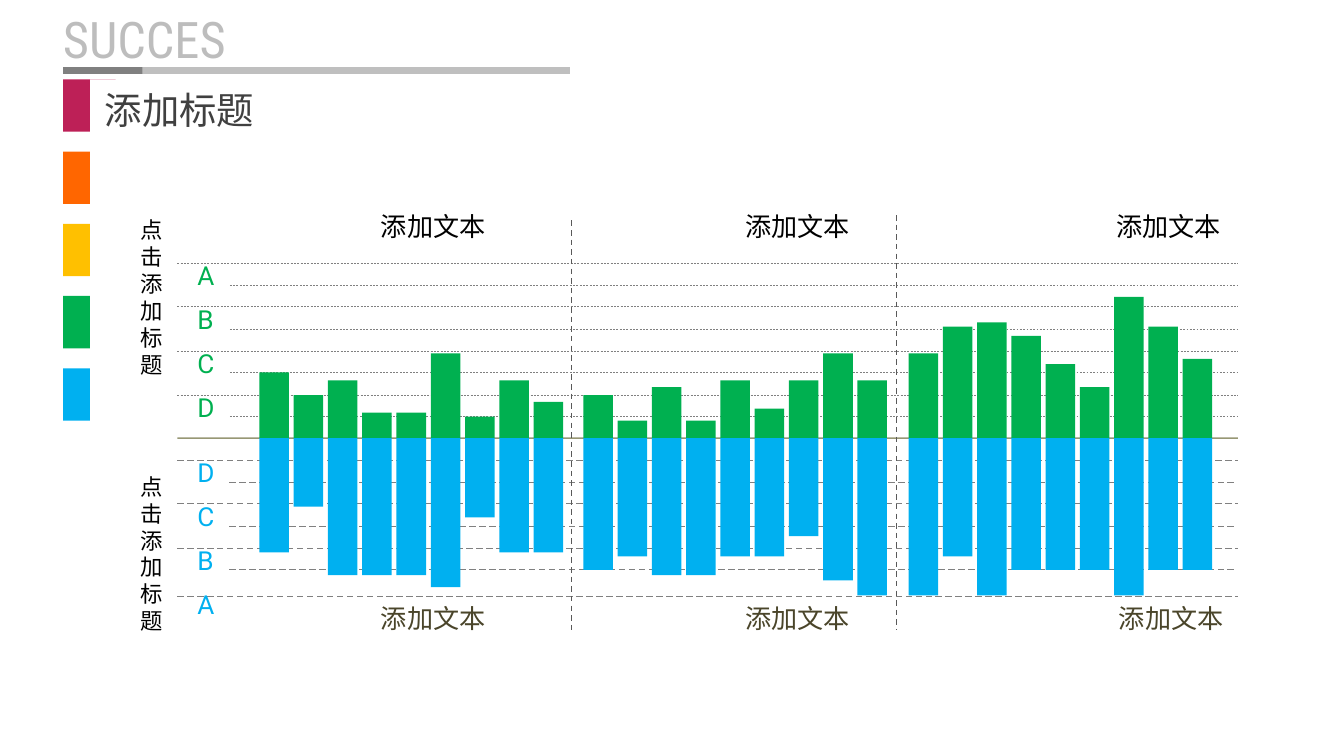
"""Build a slide with mirrored green and blue bars in three sections."""
from lxml.etree import SubElement
from pptx import Presentation
from pptx.dml.color import RGBColor
from pptx.enum.dml import MSO_LINE
from pptx.enum.shapes import MSO_CONNECTOR, MSO_SHAPE
from pptx.enum.text import MSO_ANCHOR, PP_ALIGN
from pptx.oxml.ns import qn
from pptx.util import Inches, Pt

CJK = "Noto Sans CJK SC"
GREEN, BLUE = "00B050", "00B0F0"
BASE = 3.26

deck = Presentation()
deck.slide_width, deck.slide_height = Inches(10), Inches(10 * 9 / 16)
slide = deck.slides.add_slide(deck.slide_layouts[5])
shapes = slide.shapes


def block(x, y, w, h, color):
    rect = shapes.add_shape(MSO_SHAPE.RECTANGLE, Inches(x), Inches(y), Inches(w), Inches(h))
    rect.shadow.inherit = False
    rect.fill.solid()
    rect.fill.fore_color.rgb = RGBColor.from_string(color)
    rect.line.fill.background()


def write(box, place, text, size, font, color, align=PP_ALIGN.LEFT, wrap=True):
    box.left, box.top, box.width, box.height = map(Inches, place)
    frame = box.text_frame
    frame.word_wrap = wrap
    frame.vertical_anchor = MSO_ANCHOR.TOP
    para = frame.paragraphs[0]
    para.alignment = align
    run = para.add_run()
    run.text = text
    run.font.size = Pt(size)
    run.font.name = font
    run.font.color.rgb = RGBColor.from_string(color)
    if font == CJK:
        para.line_spacing = Pt(size * 1.2)
        SubElement(run.font._element, qn("a:ea"), typeface=font)
    return run


block(0.47, 0.5, 1.33, 0.05, "808080")
block(1.06, 0.5, 3.18, 0.05, "BFBFBF")
brand = write(shapes.add_textbox(0, 0, 0, 0), (0.37, 0.01, 1.58, 0.56),
              "SUCCESS", 27, "Roboto Condensed", "000000", wrap=False)
tint = brand.font._element.find(".//" + qn("a:srgbClr"))
SubElement(tint, qn("a:alpha"), val="26000")

for i, color in enumerate(["BD2057", "FF6600", "FFC000", GREEN, BLUE]):
    block(0.47, 0.59 + i * 2.15 / 4, 0.39, 0.39, color)
block(0.67, 0.59, 8.98, 4.69, "FFFFFF")

rules = []
for width, rows in [
    (0.25, [1.96, 2.12, 2.28, 2.45, 2.61, 2.77, 2.94, 3.1]),
    (0, [3.43, 3.59, 3.75, 3.92, 4.08, 4.24, 4.44]),
]:
    for i, y in enumerate(rows):
        rules.append((1.71 if i % 2 else 1.32, y, 9.21, y, "808080", width))
rules.append((1.32, BASE, 9.21, BASE, "666633", 0.75))
rules.append((4.25, 1.64, 4.25, 4.69, "595959", 0.75))
rules.append((6.67, 1.6, 6.67, 4.69, "595959", 0.75))

for x, y, right, low, color, width in rules:
    rule = shapes.add_connector(MSO_CONNECTOR.STRAIGHT, Inches(x), Inches(y), Inches(right), Inches(low))
    rule.line.color.rgb = RGBColor.from_string(color)
    rule._element.spPr.find(qn("a:ln")).set("w", str(Pt(width)))
    if y == BASE:
        tint = rule._element.spPr.find(".//" + qn("a:srgbClr"))
        SubElement(tint, qn("a:alpha"), val="67000")
    else:
        rule.line.dash_style = MSO_LINE.DASH
    SubElement(rule._element.spPr, qn("a:effectLst"))

parts = [
    (1.93, [0.49, 0.32, 0.43, 0.19, 0.19, 0.63, 0.16, 0.43, 0.27],
     [0.85, 0.51, 1.02, 1.02, 1.02, 1.11, 0.59, 0.85, 0.85]),
    (4.34, [0.32, 0.13, 0.38, 0.13, 0.43, 0.22, 0.43, 0.63, 0.43],
     [0.98, 0.88, 1.02, 1.02, 0.88, 0.88, 0.73, 1.06, 1.17]),
    (6.76, [0.63, 0.83, 0.86, 0.76, 0.55, 0.38, 1.05, 0.83, 0.59],
     [1.17, 0.88, 1.17, 0.98, 0.98, 0.98, 1.17, 0.98, 0.98]),
]
for left, ups, downs in parts:
    for i, (up, down) in enumerate(zip(ups, downs)):
        x = left + i * 2.04 / 8
        block(x, BASE - up, 0.22, up, GREEN)
        block(x, BASE, 0.22, down, BLUE)

for top, marks, color in [(1.88, "ABCD", GREEN), (3.35, "DCBA", BLUE)]:
    for i, mark in enumerate(marks):
        write(shapes.add_textbox(0, 0, 0, 0), (1.37, top + i * 0.98 / 3, 0.37, 0.34),
              mark, 14, "Roboto", color)

for top in (1.56, 3.47):
    write(shapes.add_textbox(0, 0, 0, 0), (0.95, top, 0.44, 1.31),
          "点击添加标题", 12, CJK, "000000")

for top, color, lefts in [
    (1.52, "000000", [2.66, 5.37, 8.13]),
    (4.43, "4A452A", [2.66, 5.37, 8.15]),
]:
    for left in lefts:
        write(shapes.add_textbox(0, 0, 0, 0), (left, top, 1.13, 0.34),
              "添加文本", 14, CJK, color, PP_ALIGN.CENTER)

title = shapes.title
write(title, (0.68, 0.6, 1.32, 0.44), "添加标题", 20, CJK, "404040", wrap=False)
shapes._spTree.append(title._element)

deck.save("out.pptx")
